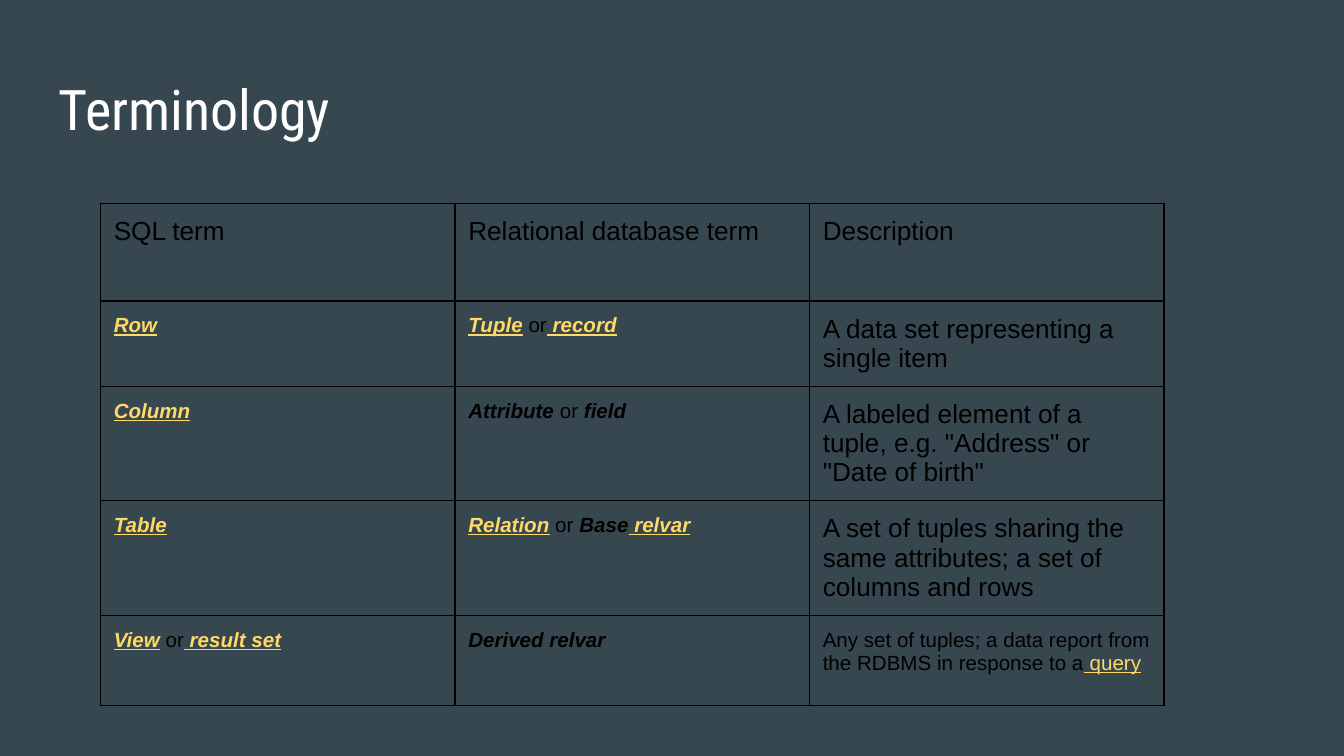
"""Build the Terminology slide: a title above a table of SQL terms."""
from lxml import etree
from pptx import Presentation
from pptx import util as u
from pptx.dml.color import RGBColor
from pptx.enum import text
from pptx.oxml.ns import qn

TITLE = "Terminology"
HEADER = ["SQL term", "Relational database term", "Description"]
ROWS = [
    [[("Row", "link")],
     [("Tuple", "link"), (" or", "plain"), (" ", "query"), ("record", "link")],
     [("A data set representing a single item", "large")]],
    [[("Column", "link")],
     [("Attribute", "term"), (" or ", "plain"), ("field", "term")],
     [('A labeled element of a tuple, e.g. "Address" or "Date of birth"', "large")]],
    [[("Table", "link")],
     [("Relation", "link"), (" or ", "plain"), ("Base", "term"), (" relvar", "link")],
     [("A set of tuples sharing the same attributes; a set of columns and rows", "large")]],
    [[("View", "link"), (" or", "plain"), (" ", "query"), ("result set", "link")],
     [("Derived relvar", "term")],
     [("Any set of tuples; a data report from the RDBMS in response to a", "plain"),
      (" query", "query")]],
]
ROW_HEIGHTS = [1.85, 1.47, 1.98, 1.98, 1.7]
COLUMN_WIDTH = 6.7

THEME = {
    "background": "37474F", "title": "FFFFFF", "ink": "000000", "accent": "FFD966",
    "title_font": "Roboto Condensed", "body_font": "Arial",
    "title_size": 30, "large": 14, "small": 11, "border": 0.75,
    "inset": u.Cm(0.25),
}
STYLES = {
    "large": ("large", "ink", False, False),
    "plain": ("small", "ink", False, False),
    "term": ("small", "ink", True, False),
    "link": ("small", "accent", True, True),
    "query": ("small", "accent", False, True),
}


def color(name):
    return RGBColor.from_string(THEME[name])


def set_insets(target):
    for side in ("left", "right", "top", "bottom"):
        setattr(target, f"margin_{side}", THEME["inset"])


def add_title(slide):
    shape = slide.shapes.title
    shape.left, shape.top, shape.width, shape.height = map(u.Cm, (0.86, 1.24, 23.67, 1.6))
    frame = shape.text_frame
    frame.text = TITLE
    frame.auto_size = text.MSO_AUTO_SIZE.NONE
    frame.vertical_anchor = text.MSO_ANCHOR.MIDDLE
    set_insets(frame)
    paragraph = frame.paragraphs[0]
    paragraph.alignment = text.PP_ALIGN.LEFT
    paragraph.font.name = THEME["title_font"]
    paragraph.font.size = u.Pt(THEME["title_size"])
    paragraph.font.color.rgb = color("title")


def set_borders(cell):
    properties = cell._tc.get_or_add_tcPr()
    for position, side in enumerate(("lnL", "lnR", "lnT", "lnB")):
        line = etree.Element(qn(f"a:{side}"), w=str(u.Pt(THEME["border"])))
        fill = etree.SubElement(line, qn("a:solidFill"))
        etree.SubElement(fill, qn("a:srgbClr"), val=THEME["ink"])
        properties.insert(position, line)


def fill_cell(cell, runs):
    cell.fill.background()
    set_insets(cell)
    set_borders(cell)
    paragraph = cell.text_frame.paragraphs[0]
    for words, style in runs:
        size, ink, emphasis, underline = STYLES[style]
        run = paragraph.add_run()
        run.text = words
        font = run.font
        font.name, font.size = THEME["body_font"], u.Pt(THEME[size])
        font.bold = font.italic = emphasis
        font.underline = underline
        font.color.rgb = color(ink)


def add_terms(slide):
    content = [[[(words, "large")] for words in HEADER]] + ROWS
    table = slide.shapes.add_table(
        len(content), len(HEADER), u.Cm(1.9), u.Cm(3.84),
        u.Cm(COLUMN_WIDTH * len(HEADER)), u.Cm(sum(ROW_HEIGHTS))).table
    table.first_row = table.horz_banding = False
    for column in table.columns:
        column.width = u.Cm(COLUMN_WIDTH)
    for row, height, cells in zip(table.rows, ROW_HEIGHTS, content):
        row.height = u.Cm(height)
        for cell, runs in zip(row.cells, cells):
            fill_cell(cell, runs)


def main():
    presentation = Presentation()
    presentation.slide_width, presentation.slide_height = u.Cm(25.4), u.Cm(14.29)
    slide = presentation.slides.add_slide(presentation.slide_layouts.get_by_name("Title Only"))
    slide.background.fill.solid()
    slide.background.fill.fore_color.rgb = color("background")
    add_title(slide)
    add_terms(slide)
    presentation.save("out.pptx")


if __name__ == "__main__":
    main()
